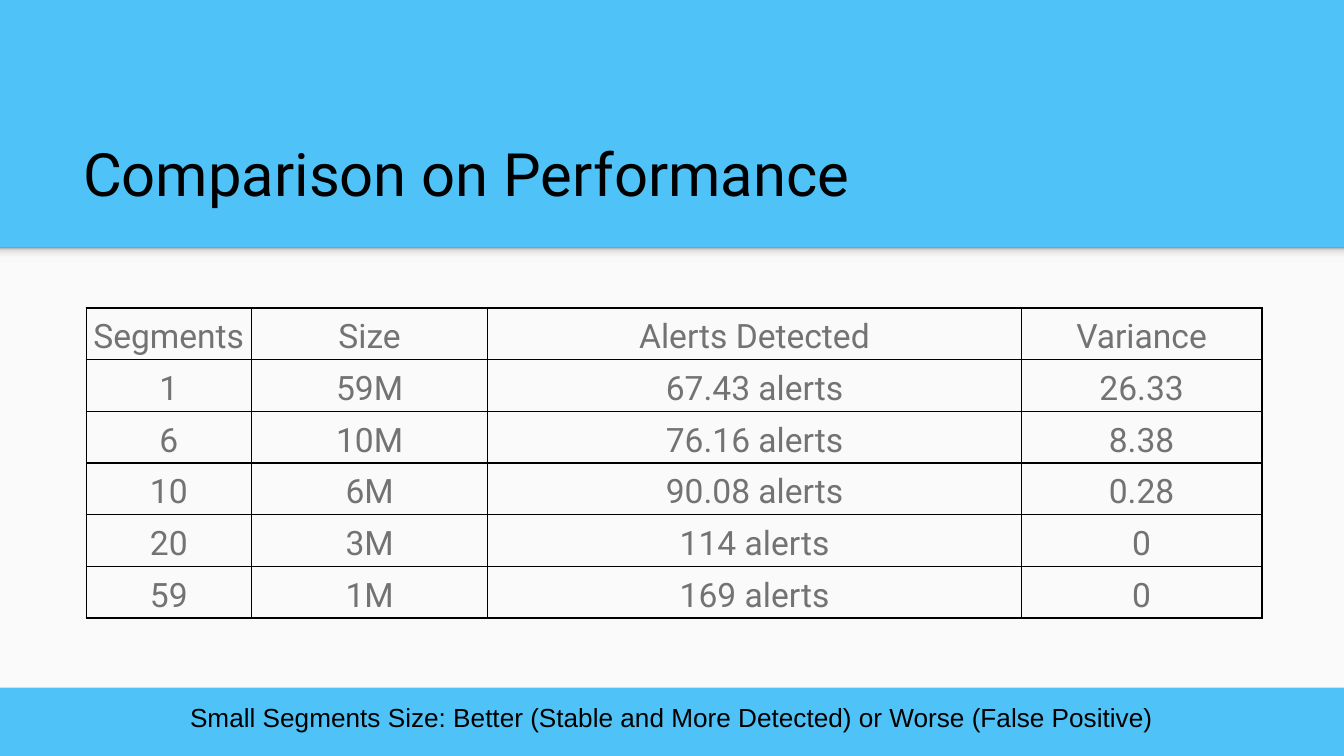
from dataclasses import dataclass
from typing import Any

from lxml import etree
from pptx import Presentation
from pptx.dml.color import RGBColor
from pptx.enum.shapes import MSO_SHAPE
from pptx.enum.text import MSO_ANCHOR, PP_ALIGN
from pptx.oxml.ns import qn
from pptx.util import Cm, Pt

RECT = MSO_SHAPE.RECTANGLE
TOP, BOTTOM = MSO_ANCHOR.TOP, MSO_ANCHOR.BOTTOM
LEFT, CENTER = PP_ALIGN.LEFT, PP_ALIGN.CENTER


@dataclass(frozen=True)
class Theme:
    sky: str = "4FC3F7"
    paper: str = "FAFAFA"
    ink: str = "000000"
    gray: str = "737373"
    head: str = "Roboto"
    plain: str = "Arial"
    title: float = 32
    cell: float = 18
    note: float = 14
    rule: float = 0.75
    shade: tuple = ((0, "F9F9F9"), (36, "F9F9F9"), (80, "DEDEDE"), (100, "999999"))


@dataclass(frozen=True)
class Box:
    left: float
    top: float
    width: float
    height: float

    def place(self) -> list:
        return [Cm(v) for v in (self.left, self.top, self.width, self.height)]


@dataclass(frozen=True)
class Style:
    font: str
    size: float
    color: str
    align: Any
    anchor: Any
    pad_x: float = 0.25
    pad_y: float = 0.25
    space: float = 1.0


THEME = Theme()
TITLE = Style(THEME.head, THEME.title, THEME.ink, LEFT, BOTTOM)
NOTE = Style(THEME.plain, THEME.note, THEME.ink, CENTER, TOP)
CELL = Style(THEME.head, THEME.cell, THEME.gray, CENTER, BOTTOM, 0.08, 0.05, 1.15)

WIDE, HIGH = 25.4, 14.29
SPLIT, FOOT = 4.67, 13.0
COLS = (3.12, 4.47, 10.08, 4.55)
ROW = 0.86
ROWS = (
    ("Segments", "Size", "Alerts Detected", "Variance"),
    ("1", "59M", "67.43 alerts", "26.33"),
    ("6", "10M", "76.16 alerts", "8.38"),
    ("10", "6M", "90.08 alerts", "0.28"),
    ("20", "3M", "114 alerts", "0"),
    ("59", "1M", "169 alerts", "0"),
)


def apply(target: Any, values: dict) -> None:
    for name, value in values.items():
        setattr(target, name, value)


def write(owner: Any, frame: Any, text: str, style: Style) -> None:
    """Put text in frame; owner holds the margins and the anchor."""
    apply(owner, {
        "margin_left": Cm(style.pad_x), "margin_right": Cm(style.pad_x),
        "margin_top": Cm(style.pad_y), "margin_bottom": Cm(style.pad_y),
        "vertical_anchor": style.anchor,
    })
    frame.word_wrap = True
    para = frame.paragraphs[0]
    apply(para, {"alignment": style.align, "line_spacing": style.space})
    run = para.add_run()
    run.text = text
    apply(run.font, {"name": style.font, "size": Pt(style.size), "bold": False})
    run.font.color.rgb = RGBColor.from_string(style.color)


def add_band(slide: Any, box: Box, color: str) -> Any:
    band = slide.shapes.add_shape(RECT, *box.place())
    band.shadow.inherit = False
    band.fill.solid()
    band.fill.fore_color.rgb = RGBColor.from_string(color)
    band.line.fill.background()
    return band


def add_shade(slide: Any, box: Box) -> None:
    """Draw a band that fades from dark at the top to light."""
    fill = add_band(slide, box, THEME.paper).fill
    fill.gradient()
    fill.gradient_angle = 90
    stops = fill.gradient_stops[0]._gs.getparent()
    for stop in list(stops):
        stops.remove(stop)
    for spot, color in THEME.shade:
        stop = etree.SubElement(stops, qn("a:gs"), pos=str(spot * 1000))
        etree.SubElement(stop, qn("a:srgbClr"), val=color)


def add_rules(cell: Any) -> None:
    """Rule all four sides of a cell; the lines go before its fill."""
    props = cell._tc.get_or_add_tcPr()
    for spot, side in enumerate(("lnL", "lnR", "lnT", "lnB")):
        line = etree.Element(qn(f"a:{side}"), w=str(Pt(THEME.rule)))
        solid = etree.SubElement(line, qn("a:solidFill"))
        etree.SubElement(solid, qn("a:srgbClr"), val=THEME.ink)
        props.insert(spot, line)


def add_grid(slide: Any, left: float, top: float) -> None:
    box = Box(left, top, sum(COLS), ROW * len(ROWS))
    grid = slide.shapes.add_table(len(ROWS), len(COLS), *box.place()).table
    apply(grid, {"first_row": False, "horz_banding": False})
    for col, width in zip(grid.columns, COLS):
        col.width = Cm(width)
    for row, texts in zip(grid.rows, ROWS):
        row.height = Cm(ROW)
        for cell, text in zip(row.cells, texts):
            write(cell, cell.text_frame, text, CELL)
            cell.fill.background()
            add_rules(cell)


def main() -> None:
    deck = Presentation()
    apply(deck, {"slide_width": Cm(WIDE), "slide_height": Cm(HIGH)})
    slide = deck.slides.add_slide(deck.slide_layouts[6])
    back = slide.background.fill
    back.solid()
    back.fore_color.rgb = RGBColor.from_string(THEME.sky)

    add_band(slide, Box(0, SPLIT, WIDE, HIGH - SPLIT), THEME.paper)
    add_shade(slide, Box(0, SPLIT, WIDE, 0.3))
    foot = add_band(slide, Box(0, FOOT, WIDE, HIGH - FOOT), THEME.sky).text_frame
    write(foot, foot, "Small Segments Size: Better (Stable and More Detected)"
          " or Worse (False Positive)", NOTE)
    title = slide.shapes.add_textbox(*Box(1.32, 2.06, 22.83, 2.13).place()).text_frame
    write(title, title, "Comparison on Performance", TITLE)
    add_grid(slide, 1.63, 5.82)
    deck.save("out.pptx")


if __name__ == "__main__":
    main()
